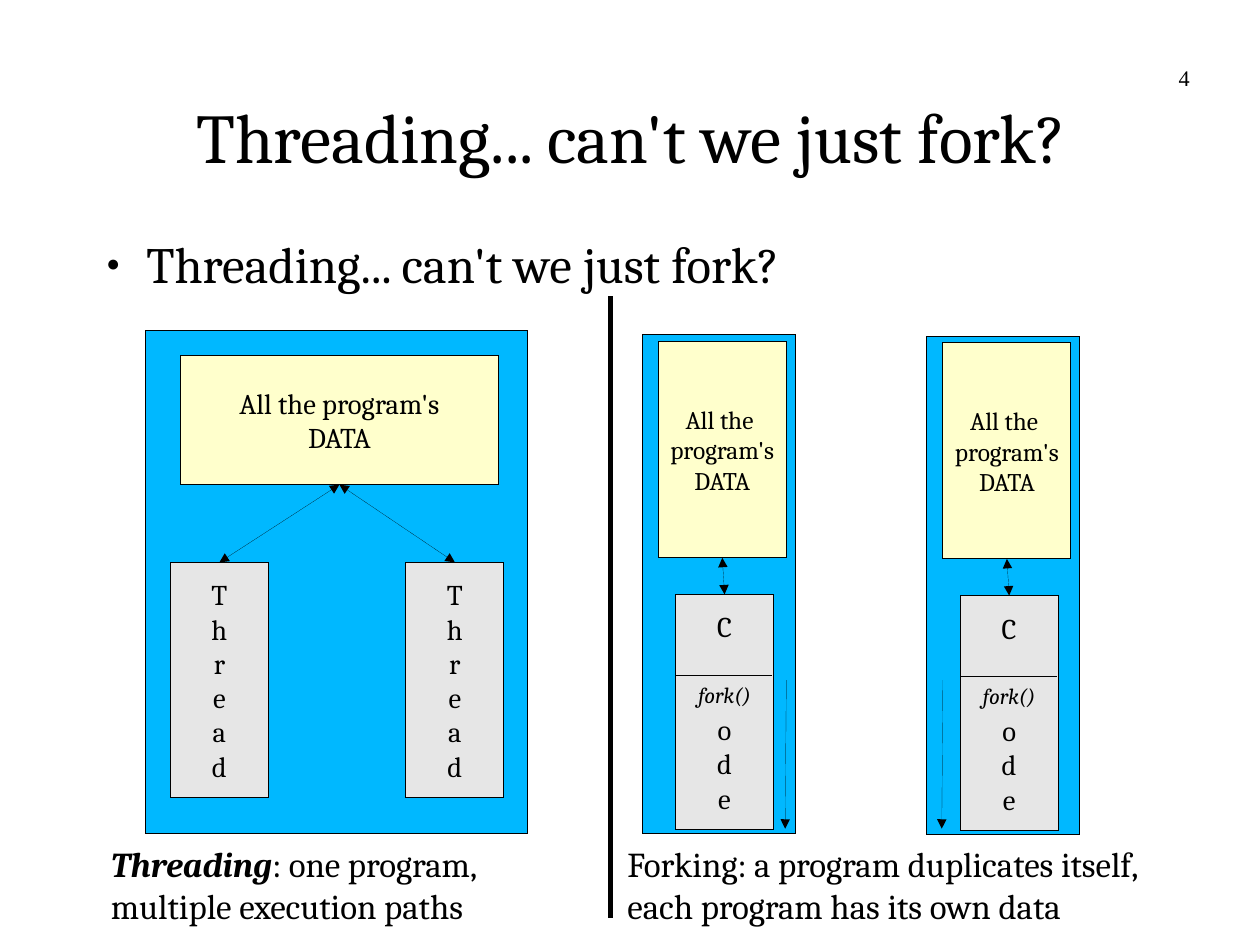
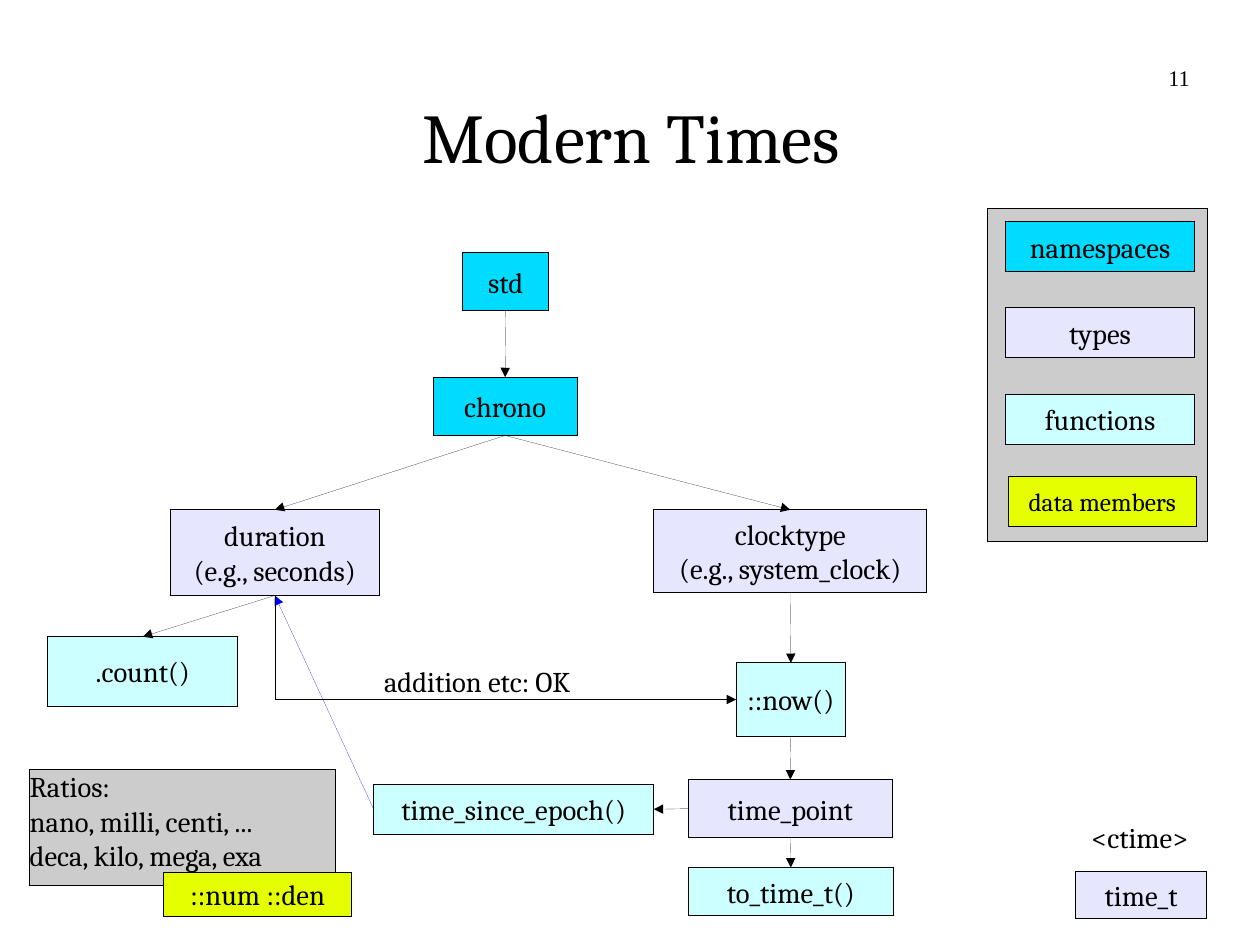
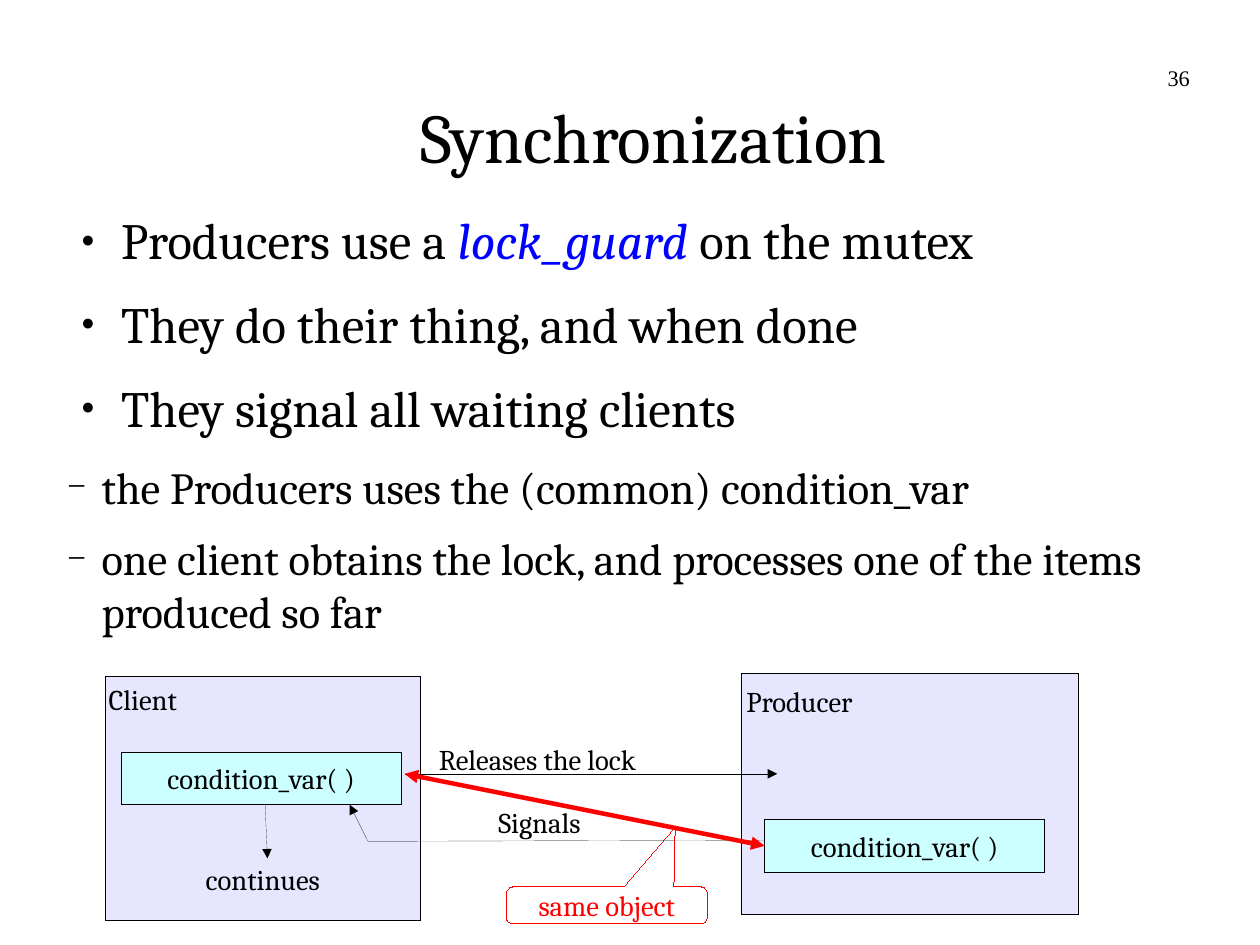
from dataclasses import dataclass
from typing import NamedTuple, Optional, Union

from lxml.etree import SubElement
from pptx import Presentation
from pptx.dml.color import RGBColor
from pptx.enum.shapes import MSO_CONNECTOR as Connector, MSO_SHAPE as Preset
from pptx.enum.text import MSO_ANCHOR as Anchor, PP_ALIGN as Align
from pptx.oxml.ns import qn
from pptx.util import Emu, Inches, Pt


@dataclass(frozen=True)
class Theme:
    font: str = "Cambria"
    number_font: str = "Times New Roman"
    bullet_font: str = "Times New Roman"
    black: str = "000000"
    red: str = "FF0000"
    blue: str = "0000FF"
    process: str = "00B8FF"
    data: str = "FFFFCC"
    code: str = "E6E6E6"
    panel: str = "CCCCCC"
    namespace: str = "00DCFF"
    type: str = "E6E6FF"
    function: str = "CCFFFF"
    member: str = "E6FF00"
    title_size: float = 44
    body_size: float = 32
    sub_size: float = 28
    caption_size: float = 22
    label_size: float = 18
    small_size: float = 16
    note_size: float = 14
    hairline: float = 0
    heavy: float = 2.83


THEME = Theme()


class Run(NamedTuple):
    text: str
    bold: bool = False
    italic: bool = False
    color: Optional[str] = None


class Bullet(NamedTuple):
    mark: str
    percent: int
    margin: float
    hanging: float
    after: float
    size: float


class Box(NamedTuple):
    left: float
    top: float
    width: float
    height: float


@dataclass(frozen=True)
class Node:
    name: str
    lines: tuple
    box: Box
    fill: str
    size: float = THEME.label_size


@dataclass(frozen=True)
class Link:
    start: str
    start_side: int
    end: str
    end_side: int
    color: str = THEME.black


Line = Union[str, tuple]
TOP, LEFT, BOTTOM, RIGHT = range(4)
DOT = Bullet("●", 45, 0.47, 0.35, 14.2, THEME.body_size)
DASH = Bullet("−", 75, 0.3, 0.3, 11.3, THEME.sub_size)


def rgb(color: str) -> RGBColor:
    return RGBColor.from_string(color)


def add_bullet(paragraph, bullet: Bullet) -> None:
    paragraph.space_after = Pt(bullet.after)
    properties = paragraph._p.get_or_add_pPr()
    properties.set("marL", str(Inches(bullet.margin)))
    properties.set("indent", str(-Inches(bullet.hanging)))
    color = SubElement(properties, qn("a:buClr"))
    SubElement(color, qn("a:srgbClr"), val=THEME.black)
    SubElement(properties, qn("a:buSzPct"), val=str(bullet.percent * 1000))
    SubElement(properties, qn("a:buFont"), typeface=THEME.bullet_font)
    SubElement(properties, qn("a:buChar"), char=bullet.mark)


def write(shape, *lines: Line, size: float = THEME.label_size,
          color: str = THEME.black, font: str = THEME.font,
          align=Align.LEFT, anchor=Anchor.TOP, italic: bool = False,
          bullets: tuple = (), first_gap: float = 0) -> None:
    frame = shape.text_frame
    frame.word_wrap = True
    frame.vertical_anchor = anchor
    frame.margin_left = frame.margin_right = 0
    frame.margin_top = frame.margin_bottom = 0
    for index, line in enumerate(lines):
        paragraph = frame.add_paragraph() if index else frame.paragraphs[0]
        paragraph.alignment = align
        if first_gap and index == 0:
            paragraph.space_after = Pt(first_gap)
        if bullets:
            add_bullet(paragraph, bullets[index])
        for part in (Run(line),) if isinstance(line, str) else line:
            run = paragraph.add_run()
            run.text = part.text
            run.font.name = font
            run.font.size = Pt(bullets[index].size if bullets else size)
            run.font.bold = part.bold
            run.font.italic = part.italic or italic
            run.font.color.rgb = rgb(part.color or color)


def add_text(slide, box: Box, *lines: Line, **text_format):
    shape = slide.shapes.add_textbox(*map(Inches, box))
    write(shape, *lines, **text_format)
    return shape


def set_outline(shape, color: str, width: float = THEME.hairline) -> None:
    shape.line.color.rgb = rgb(color)
    shape._element.spPr.find(qn("a:ln")).set("w", str(Pt(width)))


def add_box(slide, box: Box, fill: Optional[str], *lines: Line,
            outline: str = THEME.black, preset=Preset.RECTANGLE,
            align=Align.CENTER, anchor=Anchor.MIDDLE, **text_format):
    shape = slide.shapes.add_shape(preset, *map(Inches, box))
    shape.shadow.inherit = False
    if fill:
        shape.fill.solid()
        shape.fill.fore_color.rgb = rgb(fill)
    else:
        shape.fill.background()
    set_outline(shape, outline)
    write(shape, *lines, align=align, anchor=anchor, **text_format)
    return shape


def add_arrowheads(shape, head: bool, tail: bool) -> None:
    outline = shape._element.spPr.find(qn("a:ln"))
    for wanted, tag in ((head, "a:headEnd"), (tail, "a:tailEnd")):
        if wanted:
            SubElement(outline, qn(tag), type="triangle")


def add_line(slide, start: tuple = (0, 0), end: tuple = (0, 0),
             color: str = THEME.black, width: float = THEME.hairline,
             head: bool = False, tail: bool = False,
             kind=Connector.STRAIGHT):
    line = slide.shapes.add_connector(kind, *map(Inches, (*start, *end)))
    set_outline(line, color, width)
    add_arrowheads(line, head, tail)
    SubElement(line._element.spPr, qn("a:effectLst"))
    return line


def join(slide, start, start_side: int, end, end_side: int, **line_format):
    line = add_line(slide, tail=True, **line_format)
    line.begin_connect(start, start_side)
    line.end_connect(end, end_side)
    return line


def join_by_corner(slide, start, end) -> None:
    line = join(slide, start, BOTTOM, end, LEFT, kind=Connector.ELBOW)
    across, down = line.width, line.height
    middle_x, middle_y = line.left + across // 2, line.top + down // 2
    line.left, line.top = middle_x - down // 2, middle_y - across // 2
    line.width, line.height = down, across
    properties = line._element.spPr
    properties.find(qn("a:prstGeom")).set("prst", "bentConnector2")
    frame = properties.find(qn("a:xfrm"))
    frame.set("rot", str(270 * 60000))
    frame.set("flipH", "1")


def add_slide(presentation, title: str, number: int, indent: float = 0):
    slide = presentation.slides.add_slide(presentation.slide_layouts[6])
    add_text(slide, Box(0.82 + indent, 0.48, 9.41 - indent, 1.42), title,
             size=THEME.title_size, align=Align.CENTER, anchor=Anchor.MIDDLE)
    add_text(slide, Box(7.84, 0.56, 2.57, 0.57), str(number),
             size=THEME.note_size, font=THEME.number_font, align=Align.RIGHT)
    return slide


def draw_process(slide, left: float, top: float, flow: float) -> None:
    add_box(slide, Box(left, top, 1.34, 4.36), THEME.process)
    data = add_box(slide, Box(left + 0.14, top + 0.06, 1.12, 1.89), THEME.data,
                   "All the ", "program's", "DATA", size=THEME.small_size)
    code = add_box(slide, Box(left + 0.29, top + 2.27, 0.86, 2.06), THEME.code,
                   "C", *"ode", first_gap=43)
    join(slide, data, BOTTOM, code, TOP, head=True)
    split = top + 2.98
    add_line(slide, (left + 0.3, split), (left + 1.13, split))
    add_text(slide, Box(left + 0.49, top + 3.03, 0.54, 0.27), "fork()",
             size=THEME.note_size, italic=True)
    add_line(slide, (left + flow, 5.95), (left + flow - 0.01, 7.25), tail=True)


def build_forking(presentation) -> None:
    title = "Threading... can't we just fork?"
    slide = add_slide(presentation, title, 4)
    add_text(slide, Box(0.81, 2.04, 9.41, 4), title, bullets=(DOT,))
    add_box(slide, Box(1.27, 2.89, 3.35, 4.4), THEME.process)
    data = add_box(slide, Box(1.58, 3.11, 2.78, 1.13), THEME.data,
                   "All the program's", "DATA")
    for left in (1.49, 3.55):
        thread = add_box(slide, Box(left, 4.92, 0.86, 2.06), THEME.code, *"Thread")
        join(slide, data, BOTTOM, thread, TOP, head=True)
    add_line(slide, (5.34, 2.59), (5.34, 8.03), width=THEME.heavy)
    draw_process(slide, 5.62, 2.93, flow=1.26)
    draw_process(slide, 8.11, 2.94, flow=0.14)
    add_text(slide, Box(0.97, 7.37, 4.01, 0.83),
             (Run("Threading", bold=True, italic=True), Run(": one program,")),
             "multiple execution paths", size=THEME.caption_size)
    add_text(slide, Box(5.49, 7.37, 5.53, 0.83),
             "Forking: a program duplicates itself,",
             "each program has its own data", size=THEME.caption_size)


LEGEND = (
    Node("namespaces", ("namespaces",), Box(8.8, 1.94, 1.65, 0.44), THEME.namespace),
    Node("types", ("types",), Box(8.8, 2.69, 1.65, 0.44), THEME.type),
    Node("functions", ("functions",), Box(8.8, 3.45, 1.65, 0.44), THEME.function),
    Node("members", ("data members",), Box(8.82, 4.17, 1.65, 0.44), THEME.member,
         THEME.small_size),
)
TIME_NODES = (
    Node("std", ("std",), Box(4.05, 2.21, 0.75, 0.51), THEME.namespace),
    Node("chrono", ("chrono",), Box(3.79, 3.3, 1.26, 0.51), THEME.namespace),
    Node("duration", ("duration", "(e.g., seconds)"),
         Box(1.49, 4.46, 1.83, 0.75), THEME.type),
    Node("clock", ("clocktype", "(e.g., system_clock)"),
         Box(5.72, 4.46, 2.39, 0.72), THEME.type),
    Node("now", ("::now()",), Box(6.44, 5.8, 0.96, 0.64), THEME.function),
    Node("point", ("time_point",), Box(6.02, 6.82, 1.79, 0.51), THEME.type),
    Node("to_time", ("to_time_t()",), Box(6.02, 7.59, 1.8, 0.42), THEME.function),
    Node("time_t", ("time_t",), Box(9.41, 7.62, 1.15, 0.42), THEME.type),
    Node("count", (".count()",), Box(0.42, 5.57, 1.66, 0.61), THEME.function),
    Node("epoch", ("time_since_epoch()",), Box(3.27, 6.86, 2.45, 0.44), THEME.function),
)
TIME_LINKS = (
    Link("std", BOTTOM, "chrono", TOP),
    Link("chrono", BOTTOM, "duration", TOP),
    Link("chrono", BOTTOM, "clock", TOP),
    Link("clock", BOTTOM, "now", TOP),
    Link("now", BOTTOM, "point", TOP),
    Link("point", BOTTOM, "to_time", TOP),
    Link("duration", BOTTOM, "count", TOP),
    Link("point", LEFT, "epoch", RIGHT),
    Link("epoch", LEFT, "duration", BOTTOM, THEME.blue),
)


def build_times(presentation) -> None:
    slide = add_slide(presentation, "Modern Times", 11)
    add_box(slide, Box(8.64, 1.82, 1.93, 2.92), THEME.panel)
    shapes = {node.name: add_box(slide, node.box, node.fill, *node.lines, size=node.size)
              for node in LEGEND + TIME_NODES}
    for link in TIME_LINKS:
        join(slide, shapes[link.start], link.start_side,
             shapes[link.end], link.end_side, color=link.color)
    join_by_corner(slide, shapes["duration"], shapes["now"])
    add_text(slide, Box(3.36, 5.81, 2.01, 0.34), "addition etc: OK")
    add_text(slide, Box(9.55, 7.17, 1.12, 0.34), "<ctime>")
    add_box(slide, Box(0.26, 6.73, 2.68, 1.02), THEME.panel, "Ratios:",
            "nano, milli, centi, ...", "deca, kilo, mega, exa",
            align=Align.LEFT, anchor=Anchor.TOP)
    add_box(slide, Box(1.43, 7.63, 1.65, 0.39), THEME.member, "::num ::den")


def build_synchronization(presentation) -> None:
    slide = add_slide(presentation, "Synchronization", 36, indent=0.39)
    add_text(slide, Box(0.59, 1.83, 10.26, 5.08),
             (Run("Producers use a "),
              Run("lock_guard ", italic=True, color=THEME.blue),
              Run("on the mutex")),
             "They do their thing, and when done",
             "They signal all waiting clients",
             "the Producers uses the (common) condition_var",
             "one client obtains the lock, and processes one of the items "
             "produced so far",
             bullets=(DOT,) * 3 + (DASH,) * 2)
    add_box(slide, Box(0.92, 5.92, 2.76, 2.13), THEME.type)
    add_box(slide, Box(6.49, 5.89, 2.95, 2.11), THEME.type)
    add_line(slide, (3.54, 6.77), (6.8, 6.77), tail=True)
    builder = slide.shapes.build_freeform(Inches(6.72), Inches(7.35))
    builder.add_line_segments(
        [(Inches(3.22), Inches(7.36)), (Inches(3.06), Inches(7.04))], close=False)
    signal = builder.convert_to_shape()
    signal.shadow.inherit = False
    signal.fill.background()
    set_outline(signal, THEME.black)
    add_arrowheads(signal, head=False, tail=True)
    add_line(slide, (2.32, 7.04), (2.34, 7.51), tail=True)
    for box, label in (
        (Box(0.95, 5.97, 0.85, 0.58), "Client"),
        (Box(6.53, 5.98, 1.12, 0.34), "Producer"),
        (Box(3.84, 6.49, 2.19, 0.34), "Releases the lock"),
        (Box(4.36, 7.04, 0.92, 0.58), "Signals"),
        (Box(1.8, 7.54, 1.22, 0.34), "continues"),
    ):
        add_text(slide, box, label)
    _, producer_condition = [
        add_box(slide, Box(left, top, 2.45, 0.46), THEME.function, "condition_var( )")
        for left, top in ((1.06, 6.58), (6.69, 7.17))]
    same_object = add_line(slide, (3.54, 6.77), (6.69, 7.4), color=THEME.red,
                           width=THEME.heavy, head=True, tail=True)
    same_object.end_connect(producer_condition, LEFT)
    callout = add_box(slide, Box(4.43, 7.76, 1.76, 0.32), None, "same object",
                      outline=THEME.red, color=THEME.red,
                      preset=Preset.ROUNDED_RECTANGULAR_CALLOUT)
    for index, value in enumerate((0.34, -2.14, 0.17)):
        callout.adjustments[index] = value


def main() -> None:
    presentation = Presentation()
    presentation.slide_width = Emu(10080625)
    presentation.slide_height = Emu(7559675)
    build_forking(presentation)
    build_times(presentation)
    build_synchronization(presentation)
    presentation.save("out.pptx")


if __name__ == "__main__":
    main()
